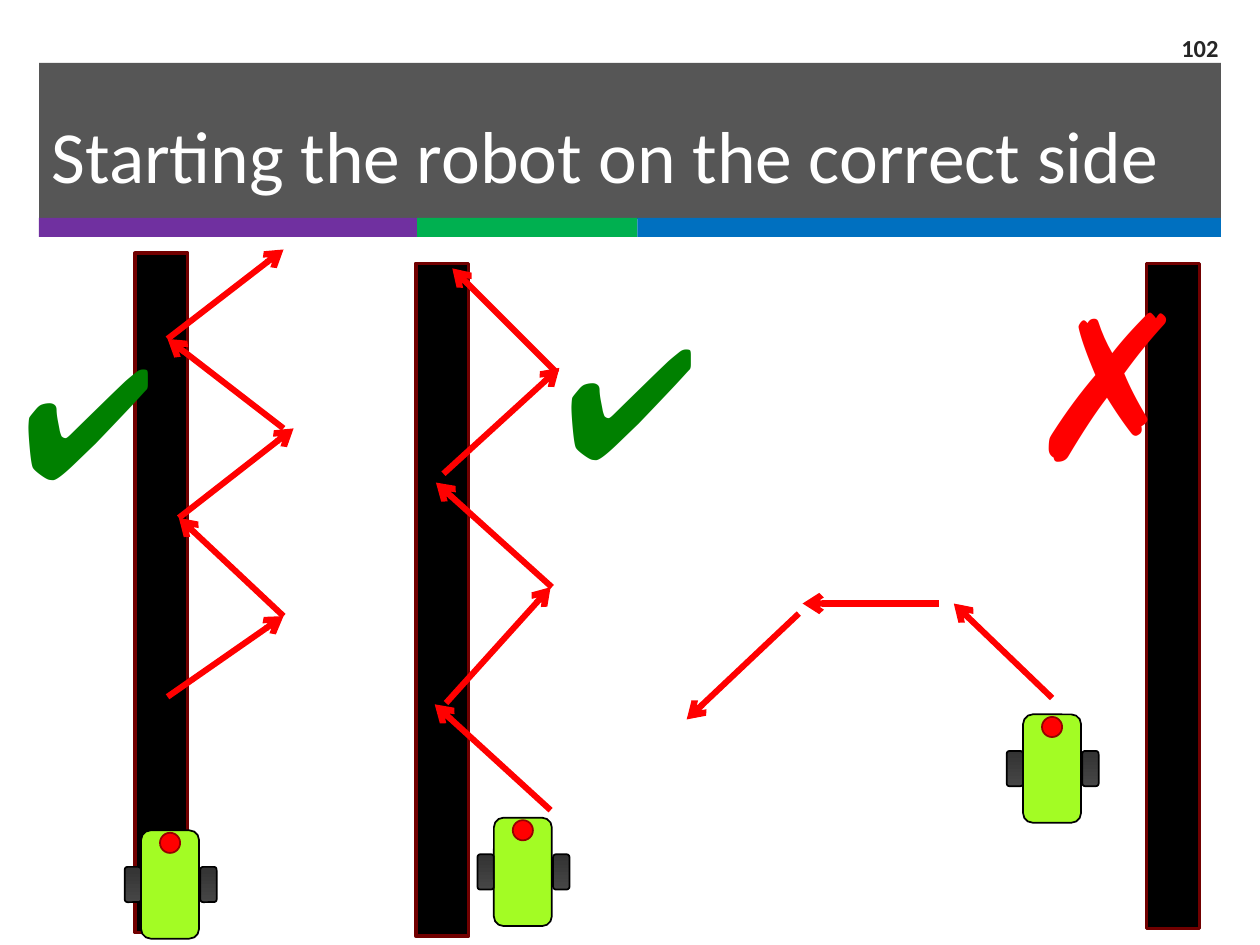
"""Build a slide on which side of a line a robot should start."""
from lxml import etree
from pptx import Presentation
from pptx.dml.color import RGBColor
from pptx.enum import shapes, text
from pptx.oxml import ns
from pptx.util import Inches, Pt


def color(value):
    return RGBColor.from_string(value)


def lengths(*values):
    return [Inches(value) for value in values]


class SlideBuilder:
    font = "Calibri"
    symbol_font = "Arial"
    red = "FF0000"
    green = "008000"

    def __init__(self, slide):
        self.slide = slide

    def shape(self, kind, box, fill, line=None, width=1, group=None):
        container = group or self.slide
        shape = container.shapes.add_shape(kind, *lengths(*box))
        shape.shadow.inherit = False
        if isinstance(fill, tuple):
            shape.fill.gradient()
            shape.fill.gradient_angle = 90
            for stop, value, position in zip(shape.fill.gradient_stops, fill, (0, 1)):
                stop.color.rgb = color(value)
                stop.position = position
        else:
            shape.fill.solid()
            shape.fill.fore_color.rgb = color(fill)
        if line:
            shape.line.color.rgb = color(line)
            shape.line.width = Pt(width)
        else:
            shape.line.fill.background()
        return shape

    def rectangle(self, box, fill, line=None, width=1):
        return self.shape(shapes.MSO_SHAPE.RECTANGLE, box, fill, line, width)

    def arrow(self, start, end):
        connector = self.slide.shapes.add_connector(
            shapes.MSO_CONNECTOR.STRAIGHT, *lengths(*start, *end))
        connector.line.color.rgb = color(self.red)
        connector.line.width = Pt(3.5)
        properties = connector._element.spPr
        outline = properties.find(ns.qn("a:ln"))
        etree.SubElement(outline, ns.qn("a:tailEnd"), type="arrow")
        etree.SubElement(properties, ns.qn("a:effectLst"))

    def set_text(self, shape, words, size, fill, font=None, bold=False,
                 align=text.PP_ALIGN.LEFT, anchor=text.MSO_ANCHOR.MIDDLE):
        frame = shape.text_frame
        frame.text = words
        frame.word_wrap = True
        frame.vertical_anchor = anchor
        paragraph = frame.paragraphs[0]
        paragraph.alignment = align
        run = paragraph.runs[0]
        run.font.name = font or self.font
        run.font.size = Pt(size)
        run.font.bold = bold
        run.font.color.rgb = color(fill)

    def title(self, words, box):
        shape = self.slide.shapes.title
        shape.left, shape.top, shape.width, shape.height = lengths(*box)
        self.set_text(shape, words, 42, "FFFFFF")
        shape.text_frame.auto_size = text.MSO_AUTO_SIZE.NONE

    def text_box(self, words, box, size, fill, **style):
        shape = self.slide.shapes.add_textbox(*lengths(*box))
        self.set_text(shape, words, size, fill, **style)

    def mark(self, symbol, box, size, fill):
        self.text_box(symbol, box, size, fill, font=self.symbol_font,
                      anchor=text.MSO_ANCHOR.TOP)

    def robot(self, left, top):
        group = self.slide.shapes.add_group_shape()
        rounded = shapes.MSO_SHAPE.ROUNDED_RECTANGLE
        self.shape(rounded, (left, top, 0.46, 0.86), "A3FC24", "000000", group=group)
        for offset in (0.47, -0.13):
            self.shape(rounded, (left + offset, top + 0.29, 0.13, 0.28),
                       ("464646", "333333"), "000000", group=group)
        self.shape(shapes.MSO_SHAPE.OVAL, (left + 0.15, top + 0.02, 0.16, 0.16),
                   self.red, "960000", group=group)


LINES = [
    ((1.07, 2.01, 0.42, 5.39), [
        ((1.33, 5.53), (2.25, 4.89)),
        ((2.25, 4.89), (1.42, 4.11)),
        ((1.42, 4.11), (2.33, 3.4)),
        ((2.25, 3.4), (1.33, 2.69)),
        ((1.33, 2.69), (2.25, 1.98)),
    ]),
    ((3.3, 2.09, 0.42, 5.34), [
        ((4.37, 6.43), (3.45, 5.59)),
        ((3.54, 5.58), (4.37, 4.66)),
        ((4.38, 4.66), (3.46, 3.83)),
        ((3.52, 3.76), (4.44, 2.92)),
        ((4.42, 2.96), (3.59, 2.13)),
    ]),
    ((9.1, 2.09, 0.42, 5.28), [
        ((8.35, 5.54), (7.57, 4.79)),
        ((7.45, 4.79), (6.37, 4.79)),
        ((6.34, 4.87), (5.45, 5.71)),
    ]),
]


def main():
    presentation = Presentation()
    presentation.slide_width, presentation.slide_height = lengths(10, 7.5)
    slide = presentation.slides.add_slide(presentation.slide_layouts[5])
    builder = SlideBuilder(slide)

    header = builder.rectangle((0.31, 0.5, 9.38, 1.24), "565656")
    slide.shapes.title._element.addprevious(header._element)
    left = 0.31
    for width, fill in ((3, "7030A0"), (1.75, "00B050"), (4.63, "0070C0")):
        builder.rectangle((left, 1.73, width, 0.15), fill)
        left += width
    builder.title("Starting the robot on the correct side", (0.31, 0.69, 9.38, 1.06))

    for box, moves in LINES:
        builder.rectangle(box, "000000", "710000", 2)
        for start, end in moves:
            builder.arrow(start, end)

    builder.mark("✔", (4.38, 2.37, 1.07, 1.58), 88, builder.green)
    builder.mark("✗", (8.04, 2.01, 1.07, 2.04), 115, builder.red)
    builder.mark("✔", (0.07, 2.53, 1.07, 1.58), 88, builder.green)
    for position in ((1.12, 6.59), (3.92, 6.49), (8.12, 5.67)):
        builder.robot(*position)
    builder.text_box("102", (9.08, 0.18, 0.69, 0.39), 14, "262626",
                     bold=True, align=text.PP_ALIGN.RIGHT)
    presentation.save("out.pptx")


if __name__ == "__main__":
    main()
